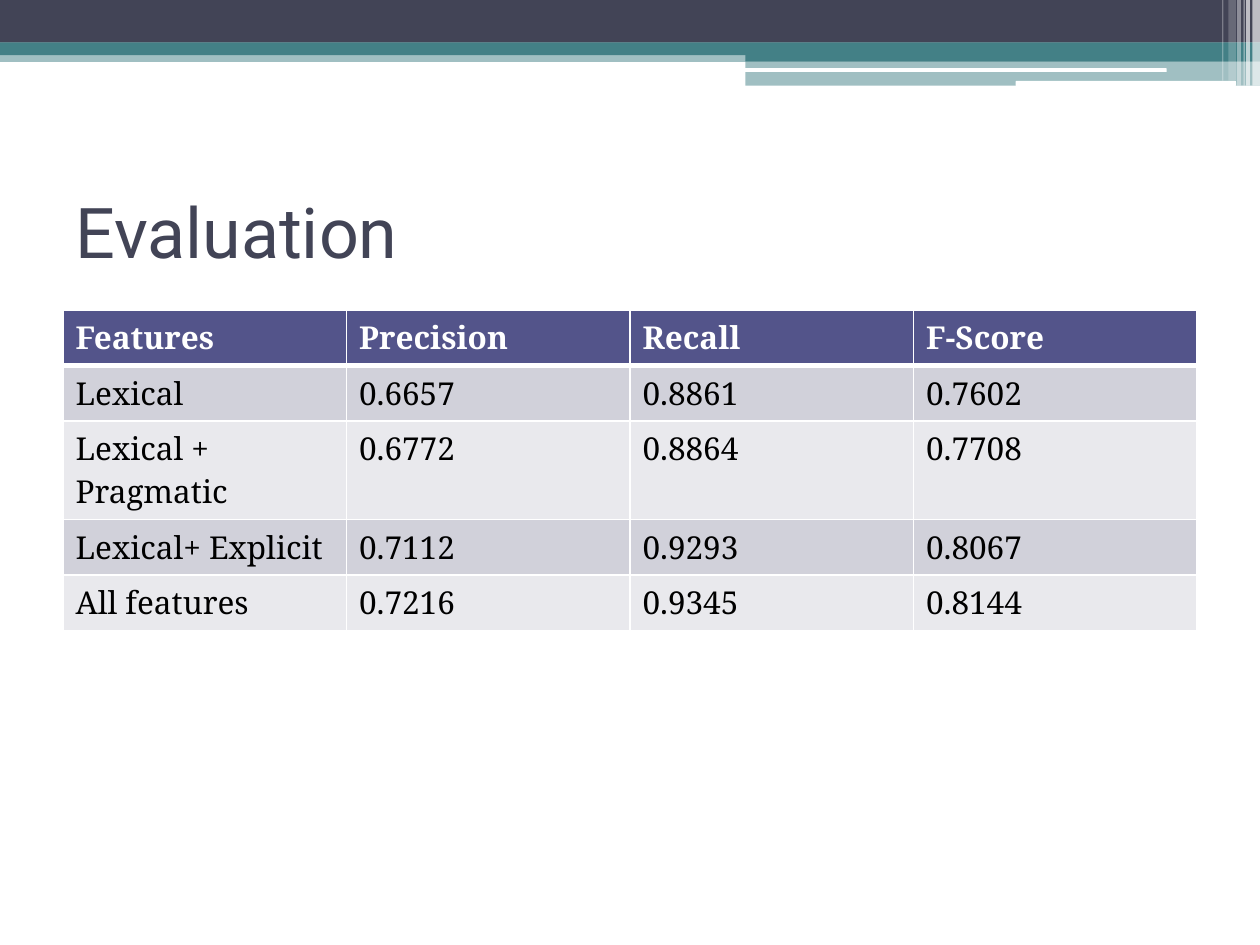
from dataclasses import dataclass

from lxml.etree import SubElement
from pptx import Presentation
from pptx.dml.color import RGBColor
from pptx.enum.shapes import MSO_SHAPE as Preset
from pptx.enum.text import MSO_ANCHOR as Anchor
from pptx.oxml.ns import qn
from pptx.slide import Slide
from pptx.table import _Cell as Cell
from pptx.util import Pt

COLORS = {
    "white": "FFFFFF",
    "black": "000000",
    "navy": "424456",
    "teal": "438086",
    "header": "53548A",
    "odd_row": "D1D1DA",
    "even_row": "E9E9ED",
}


@dataclass
class Bar:
    left: float
    top: float
    width: float
    height: float
    color: str
    opacity: int = 100
    rounded: bool = False


@dataclass
class Row:
    values: tuple[str, ...]
    lines: int = 1

    @property
    def height(self) -> float:
        return 7.2 + 24.5 * self.lines


BARS = [
    # Bands across the top
    Bar(0, 28.8, 720, 6.6, "teal", 50),
    Bar(0, 0, 720, 24.4, "navy"),
    Bar(0, 24.3, 720, 7.2, "teal"),
    Bar(426, 28.3, 294, 6.6, "teal"),
    Bar(426, 34.7, 294, 14.2, "teal", 50),
    # White slits
    Bar(425.5, 39, 241.2, 2.16, "white", rounded=True),
    Bar(580.3, 46.3, 126, 2.88, "white", rounded=True),
    # Fading stripes at the right edge
    Bar(715.7, 0, 4.3, 49, "white", 65),
    Bar(712.1, 0, 2.16, 49, "white", 65),
    Bar(710.6, 0, 0.72, 49, "white", 60),
    Bar(707, 0, 2.16, 49, "white", 40),
    Bar(702, 0, 4.32, 46.1, "white", 20),
    Bar(698.4, 0, 0.72, 46.1, "white", 30),
]

ROWS = [
    Row(("Features", "Precision", "Recall", "F-Score")),
    Row(("Lexical", "0.6657", "0.8861", "0.7602")),
    Row(("Lexical + Pragmatic ", "0.6772", "0.8864", "0.7708"), lines=2),
    Row(("Lexical+ Explicit", "0.7112", "0.9293", "0.8067")),
    Row(("All features", "0.7216", "0.9345", "0.8144")),
]


def color(name: str) -> RGBColor:
    return RGBColor.from_string(COLORS[name])


def add_bar(slide: Slide, bar: Bar) -> None:
    preset = Preset.ROUNDED_RECTANGLE if bar.rounded else Preset.RECTANGLE
    shape = slide.shapes.add_shape(
        preset, Pt(bar.left), Pt(bar.top), Pt(bar.width), Pt(bar.height))
    shape.shadow.inherit = False
    shape.line.fill.background()
    shape.fill.solid()
    shape.fill.fore_color.rgb = color(bar.color)
    if bar.opacity < 100:
        fill_color = shape.fill._xPr.find(f".//{qn('a:srgbClr')}")
        SubElement(fill_color, qn("a:alpha"), val=str(bar.opacity * 1000))


def add_title(slide: Slide, text: str) -> None:
    title = slide.shapes.add_textbox(Pt(36), Pt(90), Pt(648), Pt(84))
    text_frame = title.text_frame
    text_frame.word_wrap = True
    text_frame.vertical_anchor = Anchor.MIDDLE
    text_frame.text = text
    font = text_frame.paragraphs[0].runs[0].font
    font.name, font.size = "Roboto", Pt(40)
    font.color.rgb = color("navy")


def set_borders(cell: Cell, top_width: float, bottom_width: float) -> None:
    properties = cell._tc.get_or_add_tcPr()
    widths = {"a:lnL": 1, "a:lnR": 1, "a:lnT": top_width, "a:lnB": bottom_width}
    for position, (tag, width) in enumerate(widths.items()):
        line = properties.makeelement(qn(tag), {"w": str(Pt(width))})
        fill = SubElement(line, qn("a:solidFill"))
        SubElement(fill, qn("a:srgbClr"), val=COLORS["white"])
        properties.insert(position, line)


def format_cell(cell: Cell, text: str, row_index: int) -> None:
    is_header = row_index == 0
    fill_name = "header" if is_header else ("even_row", "odd_row")[row_index % 2]
    cell.fill.solid()
    cell.fill.fore_color.rgb = color(fill_name)
    cell.text_frame.text = text
    font = cell.text_frame.paragraphs[0].runs[0].font
    font.name, font.size, font.bold = "Noto Serif", Pt(18), is_header
    font.color.rgb = color("white" if is_header else "black")
    # A thicker rule parts the header from the first row below it
    set_borders(cell, 3 if row_index == 1 else 1, 3 if is_header else 1)


def add_results(slide: Slide) -> None:
    total_height = sum(row.height for row in ROWS)
    table = slide.shapes.add_table(
        len(ROWS), len(ROWS[0].values), Pt(36), Pt(177.2), Pt(648),
        Pt(total_height)).table
    for row_index, row in enumerate(ROWS):
        table.rows[row_index].height = Pt(row.height)
        for column_index, value in enumerate(row.values):
            format_cell(table.cell(row_index, column_index), value, row_index)


presentation = Presentation()
presentation.slide_width, presentation.slide_height = Pt(720), Pt(540)
slide = presentation.slides.add_slide(presentation.slide_layouts[6])

for bar in BARS:
    add_bar(slide, bar)
add_title(slide, "Evaluation")
add_results(slide)

presentation.save("out.pptx")
